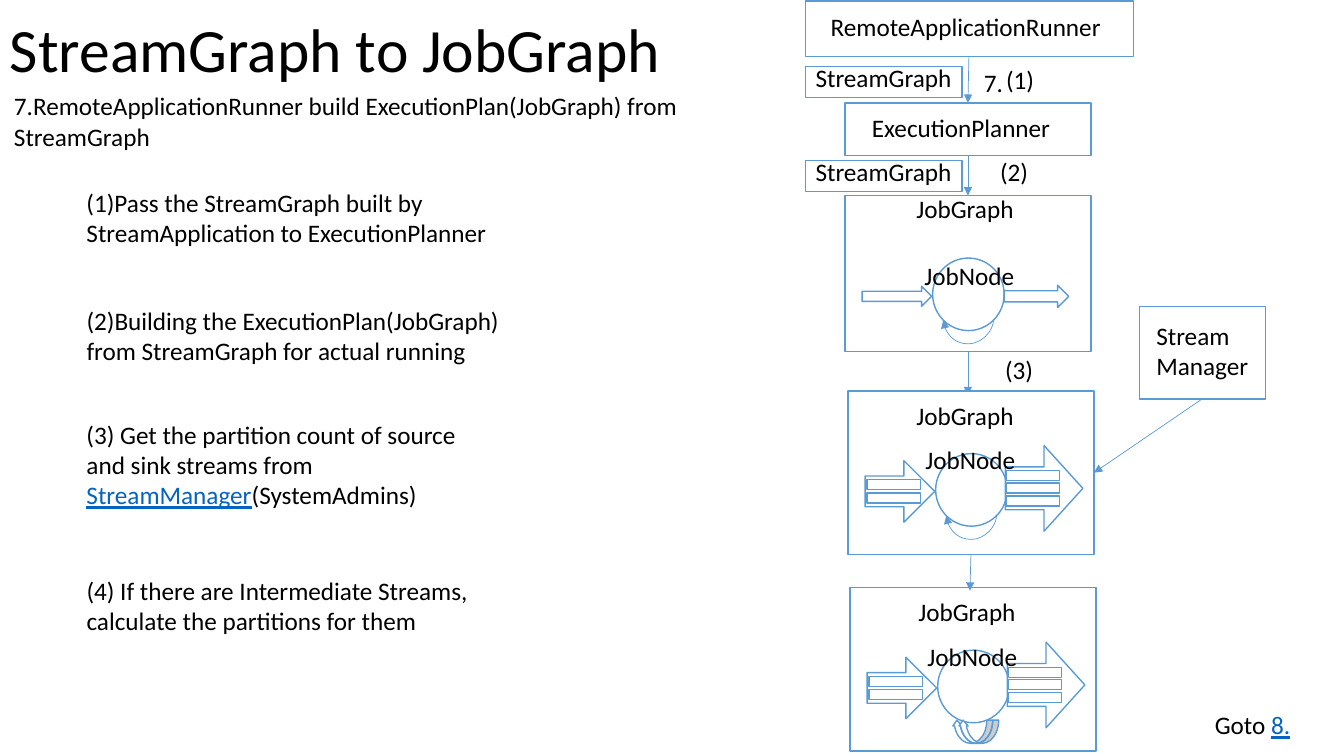
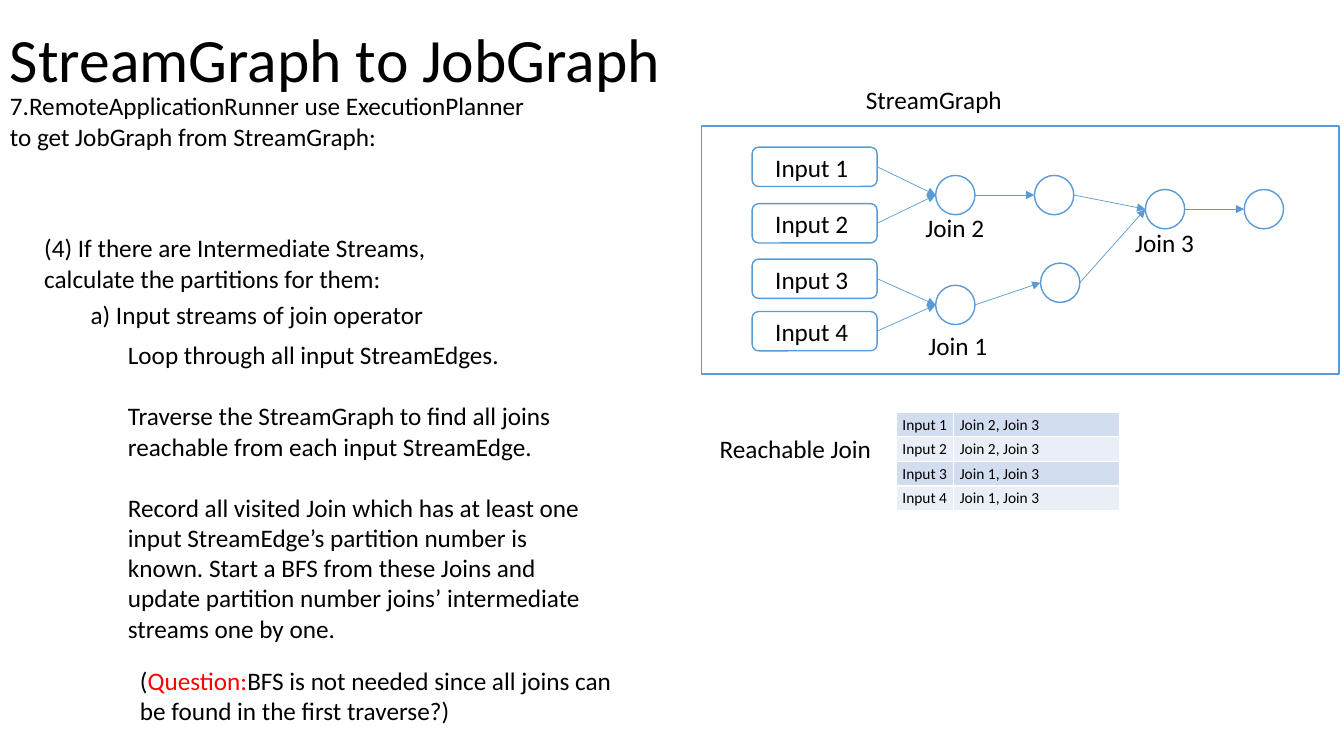
from typing import NamedTuple

from lxml.etree import SubElement
from pptx import Presentation
from pptx.dml.color import RGBColor
from pptx.enum.dml import MSO_LINE_DASH_STYLE as Dash
from pptx.enum.shapes import MSO_CONNECTOR as Conn, MSO_SHAPE as Kind
from pptx.enum.text import MSO_ANCHOR as Anchor, MSO_AUTO_SIZE as Auto
from pptx.oxml.ns import qn
from pptx.shapes.autoshape import Shape
from pptx.shapes.connector import Connector
from pptx.slide import Slide
from pptx.util import Emu, Pt

PX = 9144  # 100 px to the inch
FONT = "Calibri"
HEX = {
    "ink": "000000", "paper": "FFFFFF", "line": "5B9BD5", "link": "0563C1",
    "alert": "FF0000", "band": "D2DEEF", "pale": "EAEFF7",
}


class Box(NamedTuple):
    x: int
    y: int
    w: int
    h: int


class Run(NamedTuple):
    text: str
    color: str = "ink"
    under: bool = False


class Note(NamedTuple):
    box: Box
    text: "str | list[Run]"


def px(n: float) -> Emu:
    return Emu(round(n * PX))


def rgb(name: str) -> RGBColor:
    return RGBColor.from_string(HEX[name])


# Shared drawing tools
def fill_text(frame, *paras: "str | list[Run]", size: int = 18,
              gap: float = 0, lead: float | None = None) -> None:
    for i, para in enumerate(paras):
        p = frame.paragraphs[0] if i == 0 else frame.add_paragraph()
        if i and gap:
            p.space_before = Pt(gap)
        if lead:
            p.line_spacing = lead
        for part in [Run(para)] if isinstance(para, str) else para:
            run = p.add_run()
            run.text = part.text
            font = run.font
            font.name, font.size = FONT, Pt(size)
            font.color.rgb = rgb(part.color)
            if part.under:
                font.underline = True


def write(slide: Slide, box: Box, *paras: "str | list[Run]",
          mid: bool = False, **style) -> None:
    frame = slide.shapes.add_textbox(*map(px, box)).text_frame
    frame.word_wrap = True
    frame.auto_size = Auto.NONE if mid else Auto.SHAPE_TO_FIT_TEXT
    if mid:
        frame.vertical_anchor = Anchor.MIDDLE
    fill_text(frame, *paras, **style)


def draw(slide: Slide, kind: Kind, box: Box) -> Shape:
    shape = slide.shapes.add_shape(kind, *map(px, box))
    shape.shadow.inherit = False
    shape.fill.solid()
    shape.fill.fore_color.rgb = rgb("paper")
    shape.line.color.rgb = rgb("line")
    shape.line.width = Pt(1)
    return shape


def arrow(slide: Slide, x1: float, y1: float, x2: float, y2: float,
          kind: Conn = Conn.STRAIGHT) -> Connector:
    conn = slide.shapes.add_connector(kind, *map(px, (x1, y1, x2, y2)))
    conn.line.color.rgb = rgb("line")
    conn.line.width = Pt(0.5)
    conn.line.dash_style = Dash.SOLID
    props = conn._element.spPr
    SubElement(props.find(qn("a:ln")), qn("a:tailEnd"), type="triangle")
    SubElement(props, qn("a:effectLst"))
    return conn


def link(slide: Slide, a: Box, b: Box) -> None:
    arrow(slide, a.x + a.w, a.y + a.h / 2, b.x, b.y + b.h / 2)


def loop(slide: Slide, node: Box) -> None:
    x, y = node.x + 35, node.y + 36
    props = arrow(slide, x, y, x + 1, y + 50, Conn.CURVE)._element.spPr
    props.find(qn("a:xfrm")).set("rot", "5400000")
    geom = props.find(qn("a:prstGeom"))
    guides = geom.find(qn("a:avLst"))
    if guides is None:
        guides = SubElement(geom, qn("a:avLst"))
    SubElement(guides, qn("a:gd"), name="adj1", fmla="val 2500000")


def title(slide: Slide, y: int) -> None:
    write(slide, Box(0, y, 1150, 145), "StreamGraph to JobGraph",
          mid=True, size=44, lead=0.9)


# Parts of the job graph
def plan(slide: Slide, x: int, y: int, height: int) -> Box:
    draw(slide, Kind.RECTANGLE, Box(x, y, 244, height))
    node = Box(x + 87, y + 62, 71, 72)
    draw(slide, Kind.OVAL, node)
    return node


def split_plan(slide: Slide, x: int, y: int, looped: bool) -> None:
    node = plan(slide, x, y, 162)
    if looped:
        loop(slide, node)
    write(slide, Box(x + 58, y + 4, 123, 40), "JobGraph")
    draw(slide, Kind.RIGHT_ARROW, Box(x + 17, y + 69, 69, 61))
    draw(slide, Kind.RIGHT_ARROW, Box(x + 156, y + 54, 77, 85))
    for dx, tops in ((19, (88, 101)), (157, (79, 91, 104))):
        for top in tops:
            draw(slide, Kind.RECTANGLE, Box(x + dx, y + top, 53, 10))
    write(slide, Box(x + 67, y + 48, 112, 40), "JobNode")


def build_plan(slide: Slide) -> None:
    title(slide, -20)
    for note in (
        Note(Box(4, 85, 741, 71), "7.RemoteApplicationRunner build "
             "ExecutionPlan(JobGraph) from StreamGraph"),
        Note(Box(76, 181, 423, 71), "(1)Pass the StreamGraph built by "
             "StreamApplication to ExecutionPlanner"),
        Note(Box(76, 298, 435, 71), "(2)Building the ExecutionPlan(JobGraph) "
             "from StreamGraph for actual running"),
        Note(Box(76, 411, 416, 101), [
            Run("(3) Get the partition count of source and sink streams from "),
            Run("StreamManager", "link", True), Run("(SystemAdmins)")]),
        Note(Box(76, 566, 451, 71), "(4) If there are Intermediate Streams, "
             "calculate the partitions for them"),
        Note(Box(1195, 699, 142, 40), [Run("Goto "), Run("8.", "link", True)]),
    ):
        write(slide, *note)

    # Runner and planner
    draw(slide, Kind.RECTANGLE, Box(799, 1, 325, 55))
    write(slide, Box(814, 6, 321, 40), "RemoteApplicationRunner")
    arrow(slide, 961, 56, 960, 102)
    draw(slide, Kind.RECTANGLE, Box(838, 102, 244, 52))
    write(slide, Box(855, 107, 226, 40), "ExecutionPlanner")
    arrow(slide, 960, 154, 960, 194)
    for y in (66, 159):
        draw(slide, Kind.RECTANGLE, Box(799, y, 155, 31))
        write(slide, Box(799, y - 9, 222, 40), "StreamGraph")

    # First job graph
    node = plan(slide, 838, 194, 155)
    loop(slide, node)
    write(slide, Box(899, 187, 123, 40), "JobGraph")
    draw(slide, Kind.RIGHT_ARROW, Box(855, 284, 69, 20))
    draw(slide, Kind.RIGHT_ARROW, Box(996, 283, 64, 22))
    write(slide, Box(907, 253, 112, 40), "JobNode")

    # Job graphs with partitions
    arrow(slide, 960, 349, 960, 392)
    split_plan(slide, 841, 388, looped=True)
    split_plan(slide, 843, 583, looped=False)
    arrow(slide, 963, 550, 962, 586)
    for x in (953, 959):
        bend = draw(slide, Kind.CURVED_LEFT_ARROW, Box(x, 706, 23, 40))
        bend.rotation = 90
        for i, value in enumerate((0.25, 0.398, 0.25)):
            bend.adjustments[i] = value

    # Step marks
    for x, y, mark in ((966, 62, "7."), (988, 59, "(1)"),
                       (982, 150, "(2)"), (987, 347, "(3)")):
        write(slide, Box(x, y, 72, 40), mark)

    # Stream manager
    draw(slide, Kind.RECTANGLE, Box(1130, 304, 125, 92))
    write(slide, Box(1137, 313, 111, 71), "Stream", "Manager")
    arrow(slide, 1192, 396, 1085, 469)


def build_join(slide: Slide) -> None:
    title(slide, -10)
    for note in (
        Note(Box(0, 85, 540, 71), "7.RemoteApplicationRunner use "
             "ExecutionPlanner to get JobGraph from StreamGraph:"),
        Note(Box(34, 226, 429, 71), "(4) If there are Intermediate Streams, "
             "calculate the partitions for them:"),
        Note(Box(80, 292, 375, 40), "a) Input streams of join operator"),
        Note(Box(129, 655, 494, 71), [
            Run("("), Run("Question:", "alert"),
            Run("BFS is not needed since all joins can be found in the "
                "first traverse?)")]),
        Note(Box(849, 79, 243, 40), "StreamGraph"),
        Note(Box(704, 425, 174, 40), "Reachable Join"),
    ):
        write(slide, *note)
    write(slide, Box(117, 332, 469, 374),
          "Loop through all input StreamEdges.",
          "Traverse the StreamGraph to find all joins reachable from each "
          "input StreamEdge.",
          "Record all visited Join which has at least one input StreamEdge’s "
          "partition number is known. Start a BFS from these Joins and update "
          "partition number joins’ intermediate streams one by one.",
          gap=22)

    # Stream graph
    draw(slide, Kind.RECTANGLE, Box(696, 125, 632, 246))
    nodes = {name: Box(x, y, 39, 39) for name, x, y in (
        ("join 2", 928, 174), ("high", 1026, 174), ("join 1", 928, 283),
        ("low", 1032, 261), ("join 3", 1136, 188), ("end", 1234, 188))}
    for node in nodes.values():
        draw(slide, Kind.OVAL, node)
    for i, y in enumerate((146, 202, 257, 309)):
        source = Box(746, y, 124, 39)
        draw(slide, Kind.ROUNDED_RECTANGLE, source)
        write(slide, Box(759, y, 98, 40), f"Input {i + 1}")
        link(slide, source, nodes["join 2" if i < 2 else "join 1"])
    for a, b in (("join 2", "high"), ("join 1", "low"), ("high", "join 3"),
                 ("low", "join 3"), ("join 3", "end")):
        link(slide, nodes[a], nodes[b])
    for n, x, y in ((1, 911, 323), (2, 908, 206), (3, 1116, 221)):
        write(slide, Box(x, y, 83, 40), f"Join {n}")

    # Table of joins
    table = slide.shapes.add_table(4, 2, *map(px, (889, 409, 221, 97))).table
    table.first_row = False
    for col, width in zip(table.columns, (57, 164)):
        col.width = px(width)
    for i, row in enumerate(table.rows):
        row.height = px(24)
        join = "Join 2, Join 3" if i < 2 else "Join 1, Join 3"
        for cell, text in zip(row.cells, (f"Input {i + 1}", join)):
            cell.margin_left = cell.margin_right = px(6)
            cell.margin_top = cell.margin_bottom = px(3)
            cell.fill.solid()
            cell.fill.fore_color.rgb = rgb("pale" if i % 2 else "band")
            fill_text(cell.text_frame, text, size=11)


def main() -> None:
    deck = Presentation()
    deck.slide_width, deck.slide_height = px(1333), px(750)
    for build in (build_plan, build_join):
        build(deck.slides.add_slide(deck.slide_layouts[6]))
    deck.save("out.pptx")


if __name__ == "__main__":
    main()
